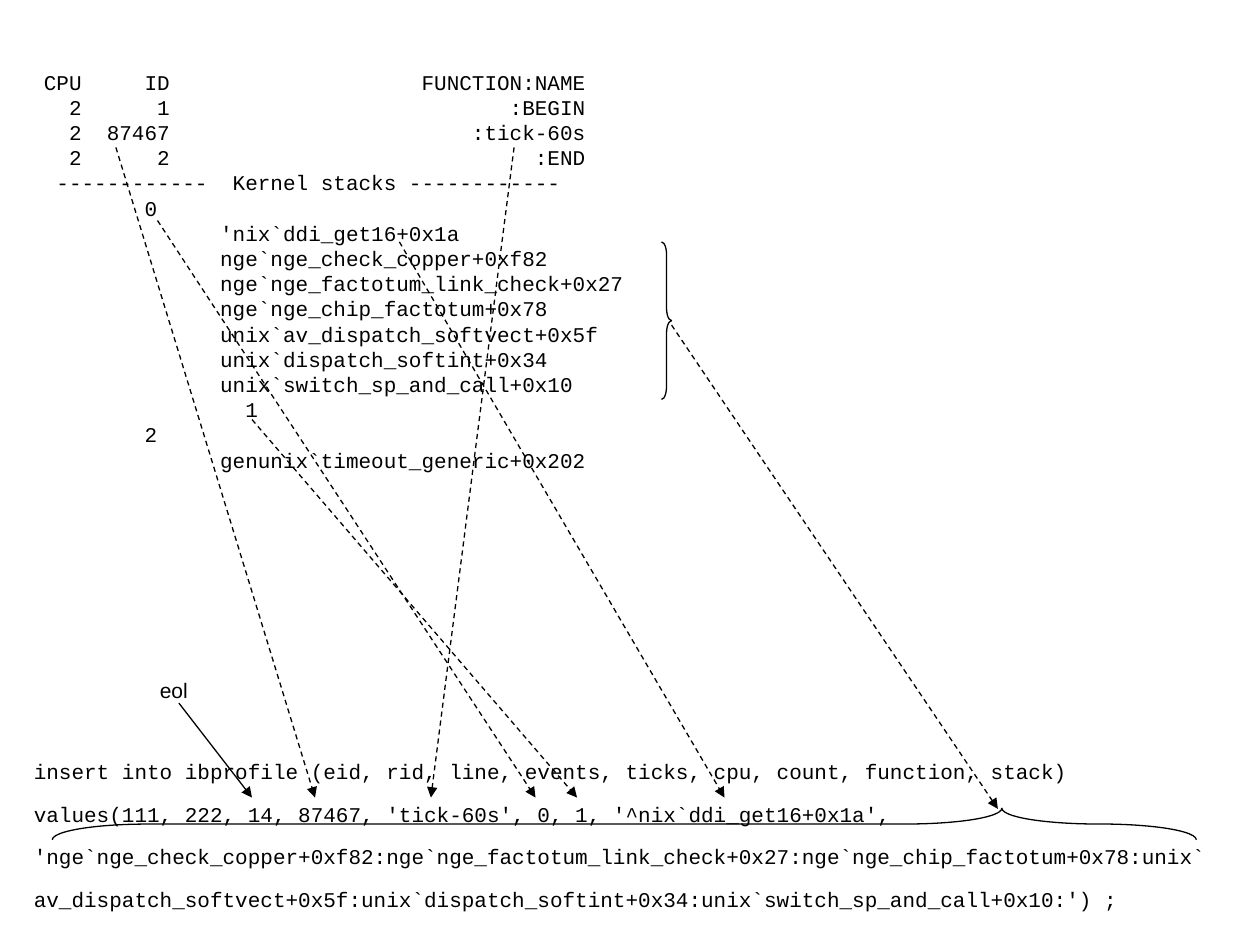
from dataclasses import dataclass

from lxml.etree import SubElement
from pptx import Presentation
from pptx.dml.color import RGBColor
from pptx.enum.dml import MSO_LINE
from pptx.enum.shapes import MSO_CONNECTOR, MSO_SHAPE
from pptx.enum.text import MSO_AUTO_SIZE
from pptx.oxml.ns import qn
from pptx.util import Inches, Pt

COLORS = {"ink": "000000"}
INK = RGBColor.from_string(COLORS["ink"])
BLANK_LAYOUT = 6


@dataclass
class TextBlock:
    at: tuple[float, float, float, float]
    lines: list[str]
    font: str = "Courier New"
    line_spacing: float = 1.0


@dataclass
class Arrow:
    start: tuple[float, float]
    end: tuple[float, float]
    dashed: bool = True


@dataclass
class Brace:
    kind: MSO_SHAPE
    at: tuple[float, float, float, float]
    curve: float
    tip: float
    rotation: int = 0


TRACE_OUTPUT = """\
CPU     ID                    FUNCTION:NAME
  2      1                           :BEGIN
  2  87467                        :tick-60s
  2      2                             :END
 ------------  Kernel stacks ------------
        0
              'nix`ddi_get16+0x1a
              nge`nge_check_copper+0xf82
              nge`nge_factotum_link_check+0x27
              nge`nge_chip_factotum+0x78
              unix`av_dispatch_softvect+0x5f
              unix`dispatch_softint+0x34
              unix`switch_sp_and_call+0x10
                1
        2
              genunix`timeout_generic+0x202"""

INSERT_STATEMENT = (
    "insert into ibprofile (eid, rid, line, events, ticks, cpu, count, function, stack) "
    "values(111, 222, 14, 87467, 'tick-60s', 0, 1, '^nix`ddi_get16+0x1a', "
    "'nge`nge_check_copper+0xf82:nge`nge_factotum_link_check+0x27:"
    "nge`nge_chip_factotum+0x78:unix`av_dispatch_softvect+0x5f:"
    "unix`dispatch_softint+0x34:unix`switch_sp_and_call+0x10:') ;"
)

TEXT_BLOCKS = [
    TextBlock((0.25, 0.5, 9, 3.3), TRACE_OUTPUT.splitlines()),
    TextBlock((0.17, 5.83, 9.5, 1.46), [INSERT_STATEMENT], line_spacing=1.7),
    TextBlock((1.17, 5.33, 0.5, 0.3), ["eol"], font="Arial"),
]

VALUES_TOP = 6.33
ARROWS = [
    Arrow((0.92, 1.17), (2.5, VALUES_TOP)),
    Arrow((4.08, 1.17), (3.42, VALUES_TOP)),
    Arrow((1.25, 1.75), (4.25, VALUES_TOP)),
    Arrow((2, 3.33), (4.58, VALUES_TOP)),
    Arrow((3.17, 1.92), (5.75, VALUES_TOP)),
    Arrow((5.33, 2.58), (7.92, 6.42)),
    Arrow((1.42, 5.58), (2, VALUES_TOP), dashed=False),
]

BRACES = [
    Brace(MSO_SHAPE.RIGHT_BRACE, (5.25, 1.92, 0.08, 1.25), curve=1.25, tip=0.5),
    Brace(MSO_SHAPE.LEFT_BRACE, (4.83, 2, 0.25, 9.08), curve=3.04, tip=0.17, rotation=90),
]


def add_text(page, block: TextBlock) -> None:
    box = page.shapes.add_textbox(*map(Inches, block.at))
    frame = box.text_frame
    frame.word_wrap = True
    frame.auto_size = MSO_AUTO_SIZE.SHAPE_TO_FIT_TEXT
    for index, line in enumerate(block.lines):
        para = frame.add_paragraph() if index else frame.paragraphs[0]
        para.line_spacing = block.line_spacing
        span = para.add_run()
        span.text = line
        for name, value in {"name": block.font, "size": Pt(12)}.items():
            setattr(span.font, name, value)
        span.font.color.rgb = INK


def style_line(line) -> None:
    line.color.rgb = INK
    line.width = Pt(0.75)


def add_arrow(page, arrow: Arrow) -> None:
    connector = page.shapes.add_connector(
        MSO_CONNECTOR.STRAIGHT, *map(Inches, arrow.start + arrow.end)
    )
    style_line(connector.line)
    if arrow.dashed:
        connector.line.dash_style = MSO_LINE.DASH
    properties = connector._element.spPr
    SubElement(properties.find(qn("a:ln")), qn("a:tailEnd"), type="triangle")
    SubElement(properties, qn("a:effectLst"))


def add_brace(page, brace: Brace) -> None:
    shape = page.shapes.add_shape(brace.kind, *map(Inches, brace.at))
    shape.adjustments[0] = brace.curve
    shape.adjustments[1] = brace.tip
    shape.rotation = brace.rotation
    shape.shadow.inherit = False
    shape.fill.background()
    style_line(shape.line)


def main() -> None:
    deck = Presentation()
    deck.slide_width, deck.slide_height = Inches(10), Inches(7.5)
    page = deck.slides.add_slide(deck.slide_layouts[BLANK_LAYOUT])
    for draw, items in ((add_text, TEXT_BLOCKS), (add_arrow, ARROWS), (add_brace, BRACES)):
        for item in items:
            draw(page, item)
    deck.save("out.pptx")


if __name__ == "__main__":
    main()
